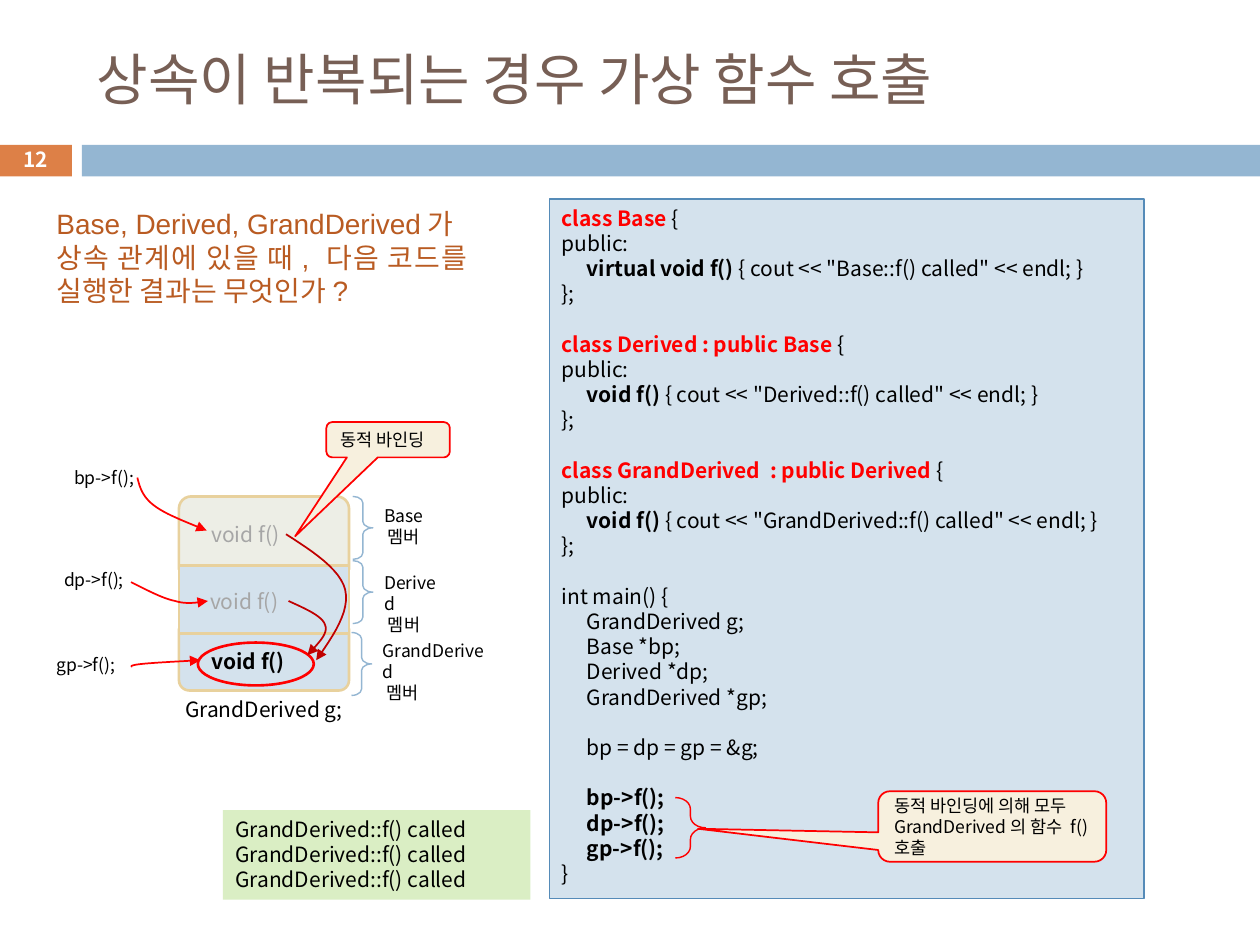
from lxml.etree import SubElement
from pptx import Presentation
from pptx.dml.color import RGBColor
from pptx.enum.shapes import MSO_SHAPE as Shape
from pptx.enum.text import MSO_ANCHOR as Anchor, PP_ALIGN as Align
from pptx.oxml.ns import qn
from pptx.util import Inches, Pt

FONT = "Noto Sans CJK KR"
COLORS = {
    "orange": "DD8047", "blue": "94B6D2", "title": "775F55", "white": "FFFFFF",
    "panel": "D4E2ED", "panel line": "558BB8", "green": "DAEEC4",
    "question": "B95B22", "cream": "F7F0DE", "red": "FF0000", "dark red": "C00000",
    "sand": "E8D19D", "pale": "EDEEE6", "gray": "A6A6A6", "black": "000000",
}
TITLE = "상속이 반복되는 경우 가상 함수 호출"
QUESTION = ["Base, Derived, GrandDerived가 ",
            "상속 관계에 있을 때, 다음 코드를 실행한 결과는 무엇인가?"]

# Each block is a list of lines: (plain, red bold, black bold, plain)
CODE_BLOCKS = [
    [("", head, "", "{"), ("public:", "", "", ""),
     ("\t", "", method, f'{{ cout << "{name}::f() called" << endl; }}'),
     ("};", "", "", "")]
    for head, method, name in [
        ("class Base ", "virtual void f() ", "Base"),
        ("class Derived : public Base ", "void f() ", "Derived"),
        ("class GrandDerived  : public Derived ", "void f() ", "GrandDerived"),
    ]
] + [
    [(line, "", "", "") for line in
     ("int main() {", "\tGrandDerived g;", "\tBase *bp;", "\tDerived *dp;",
      "\tGrandDerived *gp;")],
    [("\tbp = dp = gp = &g;", "", "", "")],
    [("\t", "", f"{pointer}->f();", "") for pointer in ("bp", "dp", "gp")]
    + [("}", "", "", "")],
]
OUTPUT = ["GrandDerived::f() called"] * 3

# Preset, place, fill, rotation
MEMBER_BLOCKS = [
    (Shape.ROUND_2_SAME_RECTANGLE, (1.42, 4.99, 1.35, 0.49), "panel", 180),
    (Shape.ROUND_2_SAME_RECTANGLE, (1.42, 3.94, 1.35, 0.58), "pale", 0),
    (Shape.RECTANGLE, (1.42, 4.49, 1.35, 0.54), "panel", 0),
]
BRACES = [
    ((2.8, 3.94, 0.16, 0.5), 0.318, "blue"),
    ((2.8, 4.45, 0.16, 0.5), 0.318, "blue"),
    ((2.79, 5.02, 0.16, 0.5), 0.318, "blue"),
    ((5.36, 6.33, 0.24, 0.48), 0.381, "red"),
]
# Lines, place, size, colour, bold, wrap
LABELS = [
    (["void f()"], (1.58, 4.09, 1.1, 0.3), 12, "gray", False, True),
    (["void f()"], (1.57, 4.62, 1.1, 0.3), 12, "gray", False, True),
    (["void f()"], (1.58, 5.1, 1.21, 0.3), 12, "black", True, True),
    (["GrandDerived g;"], (1.37, 5.48, 1.45, 0.3), 12, "black", False, False),
    (["bp->f();"], (0.49, 3.66, 0.69, 0.27), 10, "black", False, False),
    (["dp->f();"], (0.41, 4.47, 0.69, 0.27), 10, "black", False, False),
    (["gp->f();"], (0.35, 5.14, 0.69, 0.27), 10, "black", False, False),
    (["Base", " 멤버"], (2.95, 3.96, 0.53, 0.44), 10, "black", False, True),
    (["Derived", " 멤버"], (2.95, 4.49, 0.69, 0.44), 10, "black", False, True),
    (["GrandDerived", " 멤버"], (2.94, 5.03, 1.07, 0.44), 10, "black", False, True),
]
CALLOUTS = [
    ("동적 바인딩", (2.59, 3.35, 0.98, 0.28), (-0.753, 2.737, 0.167)),
    ("동적 바인딩에 의해 모두 GrandDerived의 함수 f() 호출",
     (6.97, 6.28, 1.81, 0.56), (-1.29, 0.033, 0.167)),
]
# Colour and Bezier points: a start, then three points for each curve
CALL_ARROWS = [
    ("dark red", [(2.27, 4.24), (2.49, 4.38), (2.7, 4.52), (2.74, 4.68),
                  (2.78, 4.85), (2.65, 5.04), (2.51, 5.24)]),
    ("dark red", [(2.29, 4.77), (2.42, 4.83), (2.56, 4.89), (2.58, 4.96),
                  (2.61, 5.03), (2.52, 5.11), (2.44, 5.2)]),
    ("red", [(1.09, 3.79), (1.11, 3.87), (1.13, 3.94), (1.22, 4.01),
             (1.31, 4.08), (1.47, 4.14), (1.64, 4.21)]),
    ("red", [(1.04, 4.62), (1.16, 4.68), (1.29, 4.75), (1.39, 4.77),
             (1.49, 4.8), (1.57, 4.78), (1.65, 4.77)]),
    ("red", [(1.05, 5.29), (1.04, 5.29), (1.03, 5.28), (1.12, 5.27),
             (1.21, 5.26), (1.4, 5.25), (1.59, 5.24)]),
]
STEPS = 12  # straight pieces for each curve

presentation = Presentation()
presentation.slide_width, presentation.slide_height = Inches(10), Inches(7.5)
slide = presentation.slides.add_slide(presentation.slide_layouts[6])


def rgb(name):
    return RGBColor.from_string(COLORS[name])


def paint(shape, fill=None, line=None, width=1):
    shape.shadow.inherit = False
    if fill:
        shape.fill.solid()
        shape.fill.fore_color.rgb = rgb(fill)
    else:
        shape.fill.background()
    if line:
        shape.line.color.rgb = rgb(line)
        shape.line.width = Pt(width)
    else:
        shape.line.fill.background()


def add_shape(preset, place, fill=None, line=None, width=1, adjustments=()):
    shape = slide.shapes.add_shape(preset, *map(Inches, place))
    paint(shape, fill, line, width)
    for index, value in enumerate(adjustments):
        shape.adjustments[index] = value
    return shape


def format_run(run, size, color="black", bold=False, font=FONT):
    run.font.size, run.font.bold, run.font.name = Pt(size), bold, font
    run.font.color.rgb = rgb(color)
    SubElement(run.font._element, qn("a:ea")).set("typeface", FONT)


def write(shape, lines, size, color="black", bold=False, font=FONT,
          align=Align.LEFT, anchor=Anchor.TOP, wrap=True):
    frame = shape.text_frame
    frame.text = "\n".join(lines)
    frame.word_wrap, frame.vertical_anchor = wrap, anchor
    for paragraph in frame.paragraphs:
        paragraph.alignment = align
        for run in paragraph.runs:
            format_run(run, size, color, bold, font)


def add_text(lines, place, size, *args, **options):
    write(slide.shapes.add_textbox(*map(Inches, place)), lines, size, *args, **options)


def write_code(shape, size=12):
    frame = shape.text_frame
    frame.word_wrap, frame.vertical_anchor = True, Anchor.TOP
    paragraph = frame.paragraphs[0]
    for block_index, block in enumerate(CODE_BLOCKS):
        for line_index, parts in enumerate(block):
            if block_index or line_index:
                paragraph = frame.add_paragraph()
            paragraph.alignment = Align.LEFT
            if block_index and not line_index:
                paragraph.space_before = Pt(1.2 * size)
            tabs = SubElement(paragraph._p.get_or_add_pPr(), qn("a:tabLst"))
            SubElement(tabs, qn("a:tab"), pos=str(Inches(0.2)), algn="l")
            for part, color, bold in zip(parts, ("black", "red", "black", "black"),
                                         (False, True, True, False)):
                if part:
                    run = paragraph.add_run()
                    run.text = part
                    format_run(run, size, color, bold)


def bezier(points):
    """Points along a chain of cubic curves."""
    yield points[0]
    for start in range(0, len(points) - 1, 3):
        curve = points[start:start + 4]
        for step in range(1, STEPS + 1):
            t = step / STEPS
            weights = ((1 - t) ** 3, 3 * t * (1 - t) ** 2, 3 * t * t * (1 - t), t ** 3)
            yield tuple(sum(w * point[axis] for w, point in zip(weights, curve))
                        for axis in (0, 1))


def add_curved_arrow(color, points):
    start, *others = [(Inches(x), Inches(y)) for x, y in bezier(points)]
    builder = slide.shapes.build_freeform(*start)
    builder.add_line_segments(others, close=False)
    arrow = builder.convert_to_shape()
    paint(arrow, line=color)
    SubElement(arrow.line._get_or_add_ln(), qn("a:tailEnd"), type="triangle")


add_shape(Shape.RECTANGLE, (-0.01, 1.15, 0.58, 0.25), "orange")
add_shape(Shape.RECTANGLE, (0.65, 1.15, 9.35, 0.25), "blue")
add_text([TITLE], (0.67, 0.25, 8.92, 0.74), 32, "title", anchor=Anchor.MIDDLE)
add_text(["12"], (-0.01, 1.13, 0.58, 0.27), 11.9, "white", True,
         align=Align.CENTER, anchor=Anchor.MIDDLE)
write_code(add_shape(Shape.RECTANGLE, (4.36, 1.58, 4.72, 5.55), "panel",
                     "panel line", 0.75))
write(add_shape(Shape.RECTANGLE, (1.77, 6.43, 2.44, 0.71), "green"), OUTPUT, 12)
add_text(QUESTION, (0.35, 1.59, 3.46, 0.91), 16, "question", font="Arial",
         align=Align.JUSTIFY)

for preset, place, fill, rotation in MEMBER_BLOCKS:
    add_shape(preset, place, fill, "sand", 1.5).rotation = rotation
for place, curl, color in BRACES:
    add_shape(Shape.RIGHT_BRACE, place, None, color, 0.79, (curl, 0.5))
add_shape(Shape.OVAL, (1.57, 5.1, 0.92, 0.34), None, "red", 1.5)
for lines, place, size, color, bold, wrap in LABELS:
    add_text(lines, place, size, color, bold, wrap=wrap)
for color, points in CALL_ARROWS:
    add_curved_arrow(color, points)
for text, place, adjustments in CALLOUTS:
    callout = add_shape(Shape.ROUNDED_RECTANGULAR_CALLOUT, place, "cream", "red", 1,
                        adjustments)
    write(callout, [text], 10, anchor=Anchor.MIDDLE)

presentation.save("out.pptx")
